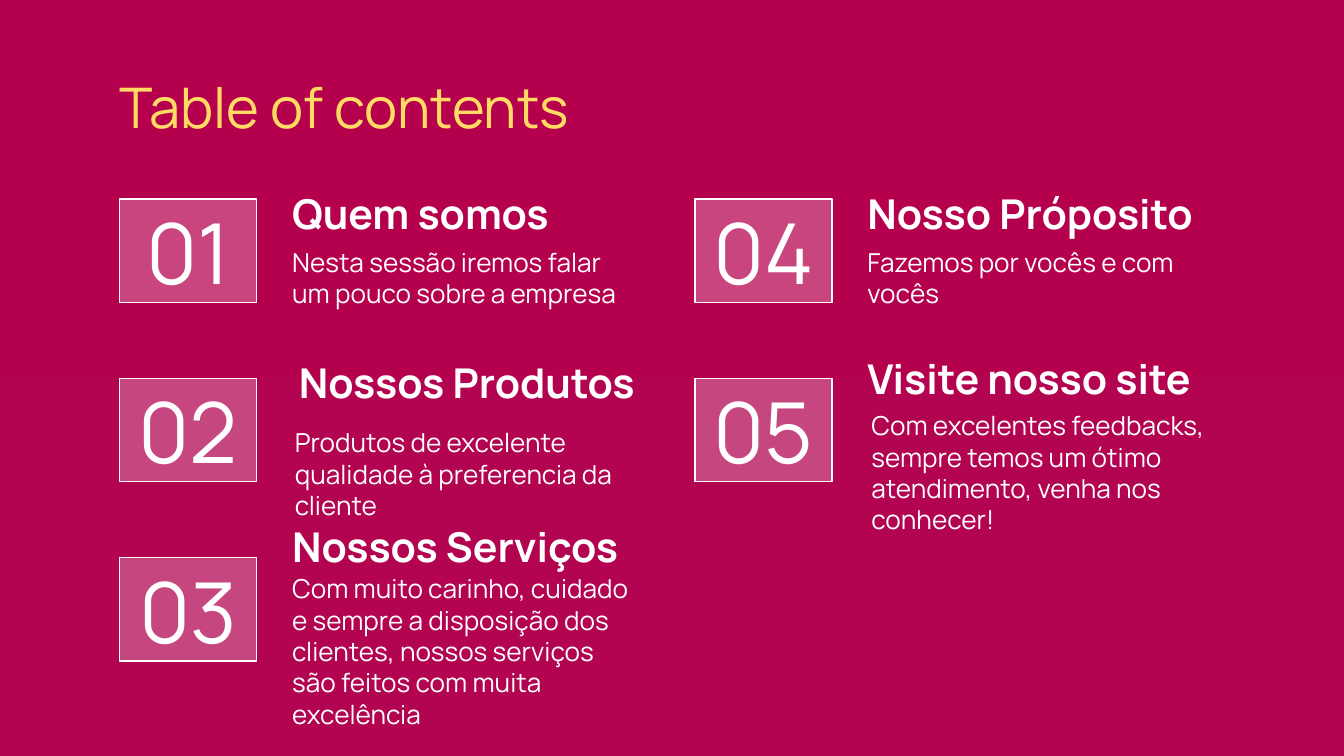
from dataclasses import dataclass

from lxml.etree import SubElement
from pptx import Presentation
from pptx.dml.color import RGBColor
from pptx.enum.shapes import MSO_SHAPE as Preset
from pptx.enum.text import MSO_ANCHOR as Anchor, MSO_AUTO_SIZE as AutoSize, PP_ALIGN as Align
from pptx.oxml.ns import qn
from pptx.util import Inches, Pt

COLORS = {"top": "B5004D", "bottom": "B20451", "heading": "FFDB63", "light": "FFFFFF"}
FONT = "Manrope"
SLIDE_WIDTH = Inches(10)
SLIDE_HEIGHT = SLIDE_WIDTH * 9 // 16
COLUMN_LEFT, COLUMN_STEP = 0.89, 4.28
ROW_TOP, ROW_STEP = 1.48, 1.335
NUMBER_SIZE = (1.02, 0.77)
TEXT_OFFSET, TEXT_WIDTH = 1.185, 2.79
NAME_HEIGHT, DETAIL_HEIGHT = 0.43, 0.53


@dataclass(frozen=True)
class Section:
    name: str
    detail: str
    column: int
    row: int
    name_top: float
    detail_top: float
    name_shift: float = 0
    detail_shift: float = 0


SECTIONS = [
    Section("Quem somos", "Nesta sessão iremos falar um pouco sobre a empresa",
            0, 0, 1.37, 1.8),
    Section("Nossos Produtos", "Produtos de excelente qualidade à preferencia da cliente",
            0, 1, 2.63, 3.26, 0.05, 0.02),
    Section("Nossos Serviços", "Com muito carinho, cuidado e sempre a disposição dos clientes, "
            "nossos serviços são feitos com muita excelência", 0, 2, 3.85, 4.58),
    Section("Nosso Próposito", "Fazemos por vocês e com vocês", 1, 0, 1.37, 1.8),
    Section("Visite nosso site", "Com excelentes feedbacks, sempre temos um ótimo atendimento, "
            "venha nos conhecer!", 1, 1, 2.6, 3.25, 0, 0.03),
]


def rgb(color: str) -> RGBColor:
    return RGBColor.from_string(COLORS[color])


def write(shape, text: str, *, size: float, color: str = "light", bold: bool = False,
          align=Align.LEFT) -> None:
    frame = shape.text_frame
    frame.word_wrap = True
    frame.auto_size = AutoSize.NONE
    frame.vertical_anchor = Anchor.MIDDLE
    frame.margin_left = frame.margin_right = Inches(0.1)
    frame.margin_top = frame.margin_bottom = Inches(0.1)
    frame.text = text
    paragraph = frame.paragraphs[0]
    paragraph.alignment = align
    paragraph.line_spacing = 1.0
    paragraph.space_before = Pt(0)
    font = paragraph.runs[0].font
    font.name, font.size, font.bold = FONT, Pt(size), bold
    font.color.rgb = rgb(color)


def draw_number(slide, number: int, left: float, top: float) -> None:
    box = slide.shapes.add_shape(Preset.RECTANGLE, *map(Inches, (left, top, *NUMBER_SIZE)))
    box.shadow.inherit = False
    box.fill.solid()
    box.fill.fore_color.rgb = rgb("light")
    tint = box.fill._xPr.find(qn("a:solidFill"))[0]
    SubElement(tint, qn("a:alpha"), val="27000")
    box.line.color.rgb = rgb("light")
    box.line.width = Pt(0.75)
    write(box, f"{number:02}", size=45, align=Align.CENTER)


def draw_section(slide, number: int, section: Section) -> None:
    left = COLUMN_LEFT + section.column * COLUMN_STEP
    draw_number(slide, number, left, ROW_TOP + section.row * ROW_STEP)
    text_left = left + TEXT_OFFSET
    name = slide.shapes.add_textbox(*map(Inches, (
        text_left + section.name_shift, section.name_top, TEXT_WIDTH, NAME_HEIGHT)))
    write(name, section.name, size=22, bold=True)
    detail = slide.shapes.add_textbox(*map(Inches, (
        text_left + section.detail_shift, section.detail_top, TEXT_WIDTH, DETAIL_HEIGHT)))
    write(detail, section.detail, size=14)


def main() -> None:
    deck = Presentation()
    deck.slide_width, deck.slide_height = SLIDE_WIDTH, SLIDE_HEIGHT
    slide = deck.slides.add_slide(deck.slide_layouts[5])

    backdrop = slide.background.fill
    backdrop.gradient()
    backdrop.gradient_angle = 270
    for stop, color, position in zip(backdrop.gradient_stops, ("top", "bottom"), (0, 1)):
        stop.color.rgb = rgb(color)
        stop.position = position

    heading = slide.shapes.title
    heading.left, heading.top, heading.width, heading.height = map(
        Inches, (0.79, 0.59, 8.43, 0.4))
    write(heading, "Table of contents", size=30, color="heading")

    for number, section in enumerate(SECTIONS, start=1):
        draw_section(slide, number, section)

    deck.save("out.pptx")


if __name__ == "__main__":
    main()
